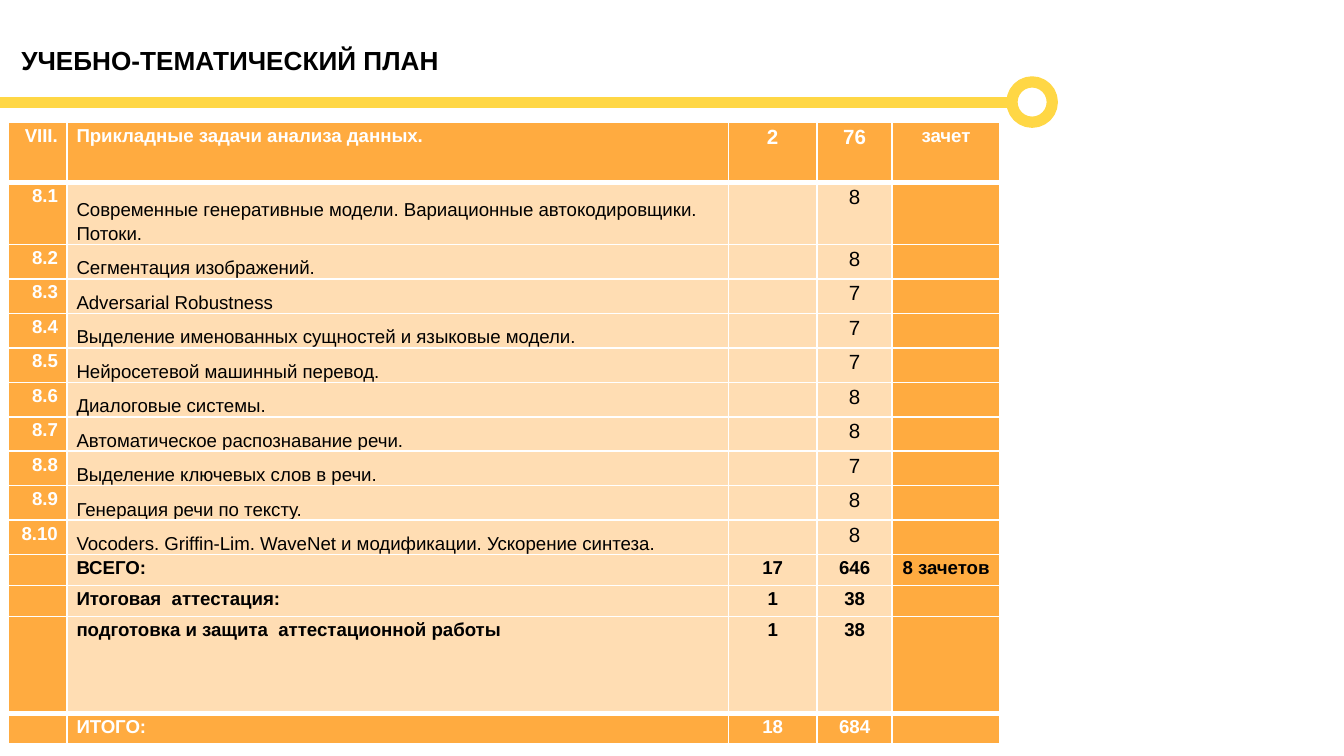
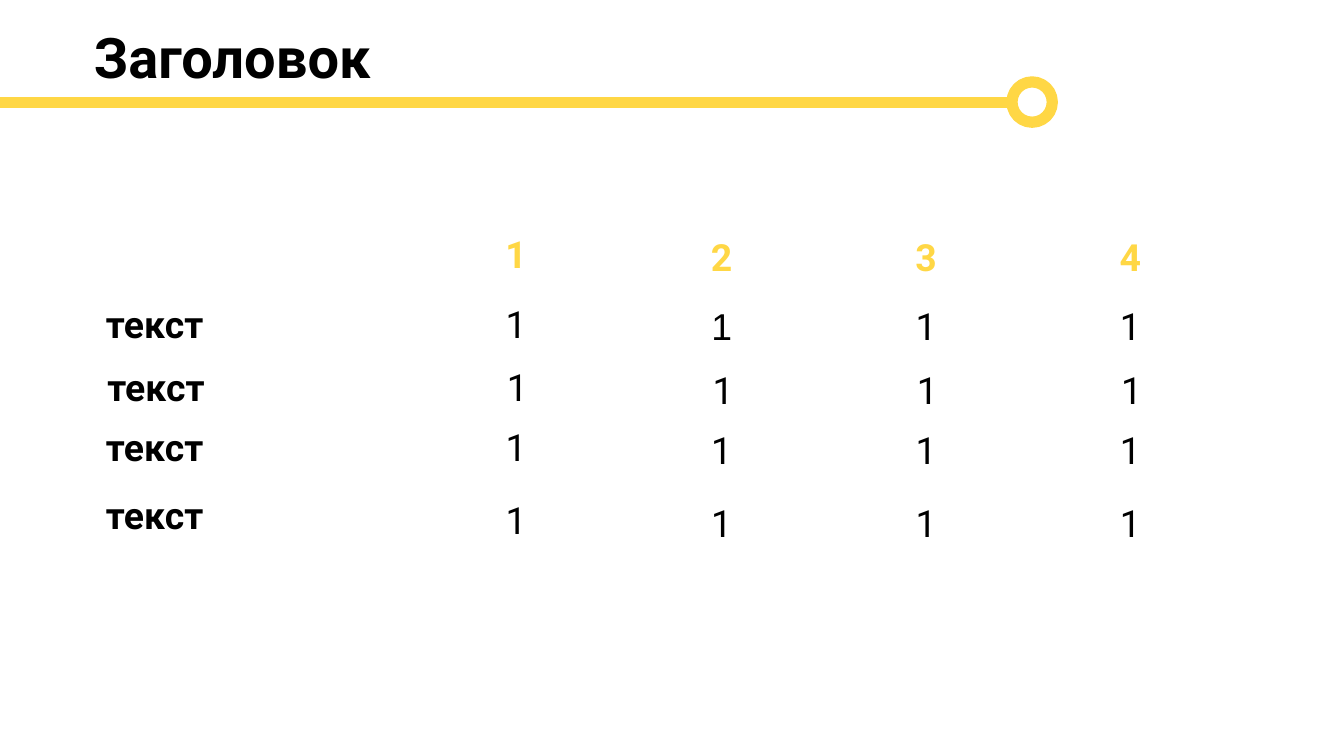
from lxml.etree import SubElement
from pptx import Presentation
from pptx.dml.color import RGBColor
from pptx.enum.shapes import MSO_CONNECTOR as Connector, MSO_SHAPE as Shape
from pptx.enum.text import MSO_ANCHOR as Anchor, PP_ALIGN as Align
from pptx.oxml.ns import qn
from pptx.util import Inches, Pt

YELLOW = RGBColor(0xFF, 0xD7, 0x45)
ORANGE = RGBColor(0xFF, 0xAB, 0x40)
PEACH = RGBColor(0xFF, 0xDD, 0xB3)
WHITE = RGBColor(0xFF, 0xFF, 0xFF)
BLACK = RGBColor(0, 0, 0)
SANS = "Arial"
DISPLAY = "Roboto"

PLAN_TITLE = "УЧЕБНО-ТЕМАТИЧЕСКИЙ ПЛАН"
SECTION = ("VIII.", "Прикладные задачи анализа данных.", "2", "76", "зачет")
TOPICS = [
    ("Современные генеративные модели. Вариационные автокодировщики. Потоки.", 8),
    ("Сегментация изображений.", 8),
    ("Adversarial Robustness", 7),
    ("Выделение именованных сущностей и языковые модели.", 7),
    ("Нейросетевой машинный перевод.", 7),
    ("Диалоговые системы.", 8),
    ("Автоматическое распознавание речи.", 8),
    ("Выделение ключевых слов в речи.", 7),
    ("Генерация речи по тексту.", 8),
    ("Vocoders. Griffin-Lim. WaveNet и модификации. Ускорение синтеза.", 8),
]
TOTALS = [
    ("", "ВСЕГО:", "17", "646", "8 зачетов"),
    ("", "Итоговая  аттестация:", "1", "38", ""),
    ("", "подготовка и защита  аттестационной работы", "1", "38", ""),
]
GRAND_TOTAL = ("", "ИТОГО:", "18", "684", "")

PLAN_LEFT, PLAN_TOP, PLAN_WIDTH, PLAN_HEIGHT = 0.06, 0.91, 7.39, 4.63
PLAN_COLUMNS = [0.44, 4.92, 0.66, 0.56, 0.8]
PLAN_ALIGN = [Align.RIGHT, Align.LEFT, Align.CENTER, Align.CENTER, Align.CENTER]
SECTION_HEIGHT, FIRST_TOPIC_HEIGHT = 0.45, 0.46
TOTAL_HEIGHTS = [0.23, 0.23, 0.72, 0.23]

GRID_TITLE = "Заголовок"
GRID_HEADERS = ["1", "2", "3", "4"]
GRID_CENTERS = [3.84, 5.37, 6.89, 8.41]
GRID_HEADER_TOP = 1.67
LATER_COLUMN_DROP = 0.02
HEADER_BOX = (1.62, 0.45)
VALUE_BOX = (1.79, 0.5)
GRID_ROWS = [
    {"label": "текст", "label_box": (0.69, 2.19, 1.79, 0.5), "top": 2.19,
     "values": "1111", "fonts": [DISPLAY, SANS, DISPLAY, DISPLAY]},
    {"label": "текст", "label_box": (0.7, 2.66, 1.79, 0.5), "top": 2.66,
     "values": "1111", "shift": 0.01},
    {"label": "текст", "label_box": (0.69, 3.11, 2.7, 0.5), "top": 3.11,
     "values": "1111"},
    {"label": "текст", "label_box": (0.69, 3.61, 2.26, 0.77), "top": 3.65,
     "values": "1111", "box": HEADER_BOX},
]


def write(paragraph, text, size, font, color, bold, align):
    paragraph.alignment = align
    run = paragraph.add_run()
    run.text = text
    run.font.size = Pt(size)
    run.font.name = font
    run.font.bold = bold
    run.font.color.rgb = color


def add_text(slide, box, text, size, font=DISPLAY, color=BLACK, bold=False,
             align=Align.LEFT):
    frame = slide.shapes.add_textbox(*map(Inches, box)).text_frame
    frame.word_wrap = True
    write(frame.paragraphs[0], text, size, font, color, bold, align)


def add_title_line(slide):
    line = slide.shapes.add_connector(
        Connector.STRAIGHT, Inches(-0.03), Inches(0.76), Inches(7.53), Inches(0.76))
    SubElement(line._element.spPr, qn("a:effectLst"))
    ring = slide.shapes.add_shape(
        Shape.OVAL, Inches(7.53), Inches(0.61), Inches(0.3), Inches(0.3))
    ring.shadow.inherit = False
    ring.fill.background()
    for shape in (line, ring):
        shape.line.color.rgb = YELLOW
        shape.line.width = Pt(6)


def set_borders(cell, top, bottom):
    properties = cell._tc.get_or_add_tcPr()
    for side, width in (("L", 1), ("R", 1), ("T", top), ("B", bottom)):
        border = SubElement(properties, qn(f"a:ln{side}"), w=str(Pt(width)))
        fill = SubElement(border, qn("a:solidFill"))
        SubElement(fill, qn("a:srgbClr"), val=str(WHITE))


def fill_cell(cell, text, fill, align, size=10, color=BLACK, bold=True,
              anchor=Anchor.TOP, top=1, bottom=1):
    set_borders(cell, top, bottom)
    cell.fill.solid()
    cell.fill.fore_color.rgb = fill
    cell.margin_left = cell.margin_right = Inches(0.07)
    cell.margin_top = cell.margin_bottom = 0
    cell.vertical_anchor = anchor
    paragraph = cell.text_frame.paragraphs[0]
    paragraph.line_spacing = 1.15
    if text:
        write(paragraph, text, size, SANS, color, bold, align)
    else:
        paragraph._p.get_or_add_endParaRPr().set("sz", "1000")


def cell_style(row, column, last):
    banner = row in (0, last)
    topic = 0 < row <= len(TOPICS)
    style = {
        "fill": ORANGE if banner or column in (0, 4) else PEACH,
        "color": WHITE if banner or column == 0 else BLACK,
        "bold": not topic or column == 0,
        "top": 3 if row in (1, last) else 1,
        "bottom": 3 if row in (0, last - 1) else 1,
    }
    if topic and column == 1:
        style["anchor"] = Anchor.BOTTOM
    if (topic and column == 3) or (row == 0 and column in (2, 3)):
        style["size"] = 11
    return style


def add_plan(slide):
    topics = [(f"8.{number}", name, "", str(hours), "")
              for number, (name, hours) in enumerate(TOPICS, 1)]
    rows = [SECTION, *topics, *TOTALS, GRAND_TOTAL]
    fixed = SECTION_HEIGHT + FIRST_TOPIC_HEIGHT + sum(TOTAL_HEIGHTS)
    later_topics = len(TOPICS) - 1
    topic_height = (PLAN_HEIGHT - fixed) / later_topics
    heights = [SECTION_HEIGHT, FIRST_TOPIC_HEIGHT,
               *[topic_height] * later_topics, *TOTAL_HEIGHTS]
    table = slide.shapes.add_table(
        len(rows), len(PLAN_COLUMNS), Inches(PLAN_LEFT), Inches(PLAN_TOP),
        Inches(PLAN_WIDTH), Inches(PLAN_HEIGHT)).table
    for column, width in zip(table.columns, PLAN_COLUMNS):
        column.width = Inches(width)
    for row, height in zip(table.rows, heights):
        row.height = Inches(height)
    for row, texts in enumerate(rows):
        for column, text in enumerate(texts):
            fill_cell(table.cell(row, column), text, align=PLAN_ALIGN[column],
                      **cell_style(row, column, len(rows) - 1))


def add_grid_row(slide, texts, top, size, shift=0, fonts=None, **style):
    width, height = size
    for column, (center, text) in enumerate(zip(GRID_CENTERS, texts)):
        box = (center - width / 2 + shift,
               top + (LATER_COLUMN_DROP if column else 0), width, height)
        font = fonts[column] if fonts else DISPLAY
        add_text(slide, box, text, 20, font, align=Align.CENTER, **style)


def add_grid(slide):
    add_grid_row(slide, GRID_HEADERS, GRID_HEADER_TOP, HEADER_BOX,
                 color=YELLOW, bold=True)
    for row in GRID_ROWS:
        add_text(slide, row["label_box"], row["label"], 20, bold=True)
        add_grid_row(slide, row["values"], row["top"], row.get("box", VALUE_BOX),
                     row.get("shift", 0), row.get("fonts"))


def main():
    presentation = Presentation()
    presentation.slide_width = Inches(10)
    presentation.slide_height = Inches(10) * 9 // 16
    blank = presentation.slide_layouts[6]

    plan_slide = presentation.slides.add_slide(blank)
    add_title_line(plan_slide)
    add_text(plan_slide, (0.06, 0.28, 7.39, 0.4), PLAN_TITLE, 14, SANS, bold=True)
    add_plan(plan_slide)

    grid_slide = presentation.slides.add_slide(blank)
    add_title_line(grid_slide)
    add_text(grid_slide, (0.6, 0.12, 7.39, 0.55), GRID_TITLE, 30, bold=True)
    add_grid(grid_slide)

    presentation.save("out.pptx")


if __name__ == "__main__":
    main()
